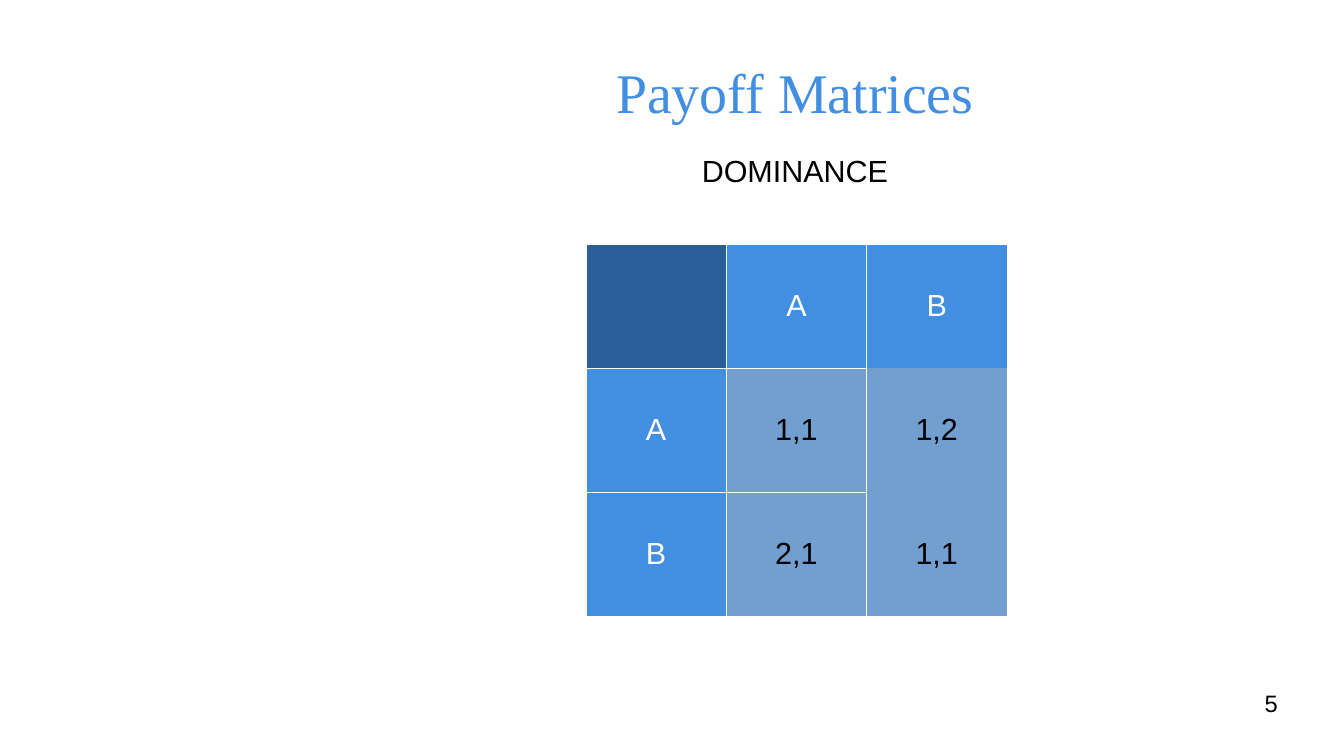
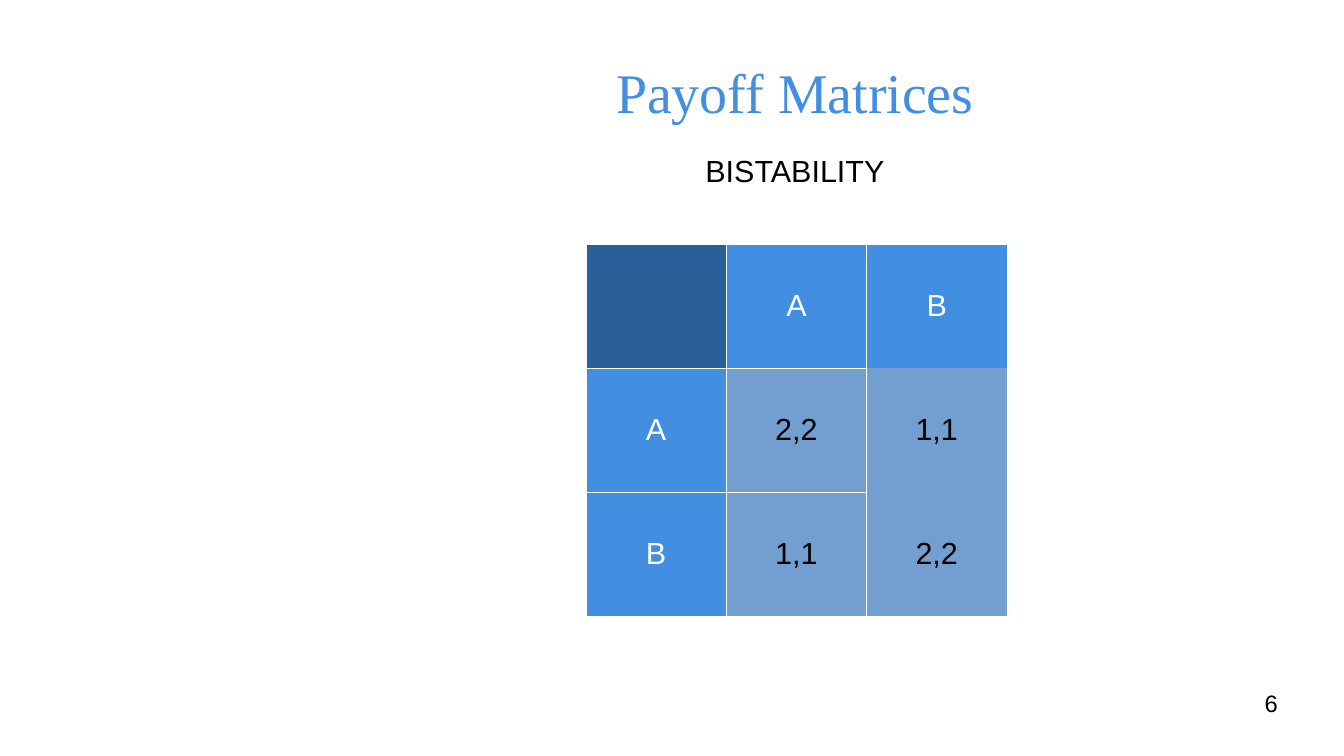
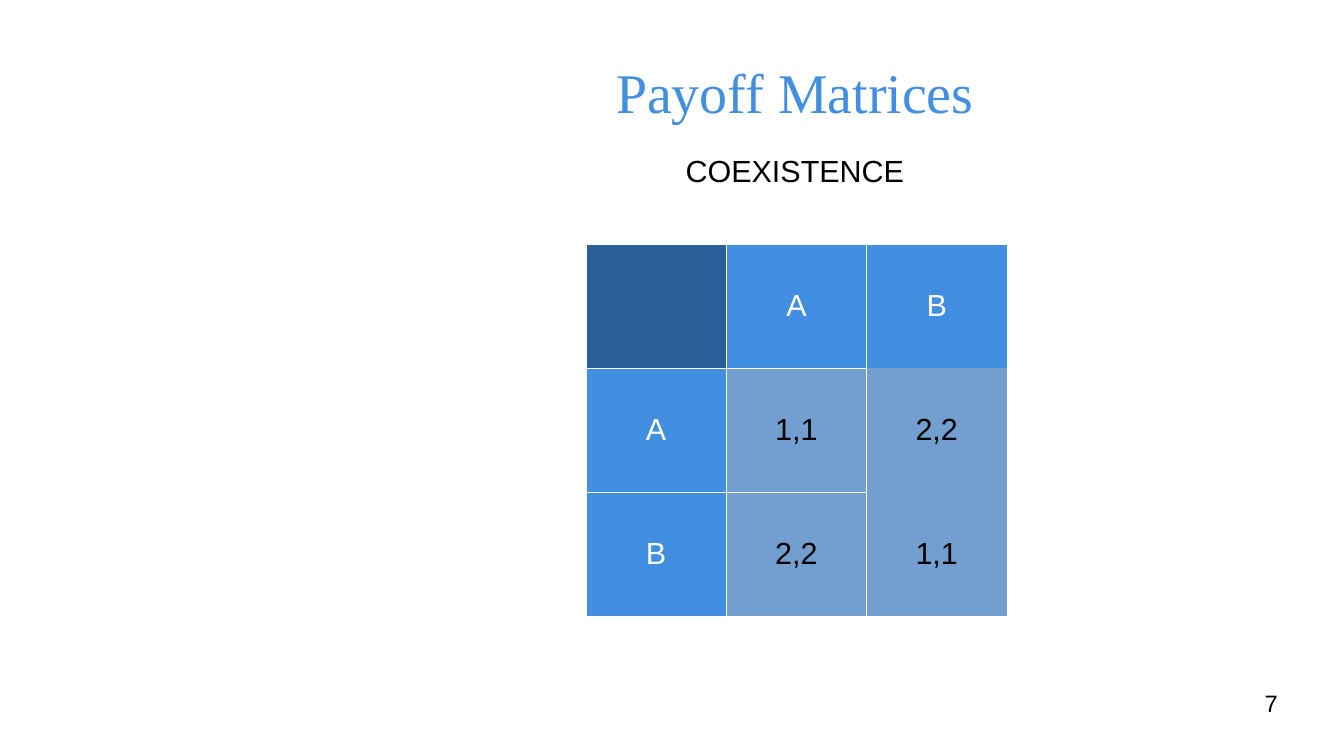
"""Build three slides of payoff matrices."""
from dataclasses import dataclass
from typing import Any, NamedTuple

from lxml import etree
from pptx import Presentation
from pptx.dml.color import RGBColor
from pptx.enum.text import MSO_ANCHOR, MSO_AUTO_SIZE, PP_ALIGN
from pptx.oxml.ns import qn
from pptx.util import Emu, Pt

CENTER, RIGHT = PP_ALIGN.CENTER, PP_ALIGN.RIGHT
TOP, MIDDLE = MSO_ANCHOR.TOP, MSO_ANCHOR.MIDDLE
FIXED, GROW = MSO_AUTO_SIZE.NONE, MSO_AUTO_SIZE.SHAPE_TO_FIT_TEXT
SCALE = 914400 / 122
PLAIN = "{2D5ABB26-0587-4C30-8999-92F81FD0307C}"
SIDES = ("L", "R", "T", "B")


class Box(NamedTuple):
    """A frame in px."""

    left: int
    top: int
    width: int
    height: int


class Style(NamedTuple):
    """A text style."""

    face: str
    size: int
    color: str
    align: PP_ALIGN


@dataclass(frozen=True)
class Theme:
    """Colours and type styles of all slides."""

    white: str = "FFFFFF"
    corner: str = "2A6099"
    header: str = "428FE1"
    field: str = "729FCF"
    rule: float = 0.06
    title: Style = Style("Times New Roman", 33, "428FE1", CENTER)
    case: Style = Style("Arial", 18, "000000", CENTER)
    head: Style = Style("Arial", 18, "FFFFFF", CENTER)
    number: Style = Style("Arial", 14, "000000", RIGHT)


@dataclass(frozen=True)
class Game:
    """A named game with its payoffs by row."""

    name: str
    payoffs: tuple[tuple[str, str], tuple[str, str]]


THEME = Theme()
PAGE = Box(0, 0, 1344, 756)
TITLE = Box(246, 29, 1098, 124)
CASE = Box(246, 146, 1098, 46)
GRID = Box(586, 244, 421, 372)
NUMBER = Box(964, 689, 314, 52)
FIRST = 5
MOVES = ("A", "B")
GAMES = (
    Game("DOMINANCE", (("1,1", "1,2"), ("2,1", "1,1"))),
    Game("BISTABILITY", (("2,2", "1,1"), ("1,1", "2,2"))),
    Game("COEXISTENCE", (("1,1", "2,2"), ("2,2", "1,1"))),
)


def px(count: int) -> Emu:
    """Turn px into EMU."""
    return Emu(round(count * SCALE))


def apply(item: Any, values: dict[str, Any]) -> None:
    """Set each named attribute of an item."""
    for name, value in values.items():
        setattr(item, name, value)


def place(box: Box) -> dict[str, Emu]:
    """Give the frame of a box in EMU."""
    return {name: px(value) for name, value in box._asdict().items()}


def write(frame: Any, text: str, style: Style) -> None:
    """Write one styled paragraph."""
    line = frame.paragraphs[0]
    line.alignment = style.align
    run = line.add_run()
    run.text = text
    apply(run.font, {"name": style.face, "size": Pt(style.size), "bold": False})
    run.font.color.rgb = RGBColor.from_string(style.color)


def inset(side: int, edge: int) -> dict[str, Emu]:
    """Give the margins of a frame or cell."""
    return {
        "margin_left": px(side),
        "margin_right": px(side),
        "margin_top": px(edge),
        "margin_bottom": px(edge),
    }


def label(shape: Any, text: str, style: Style, **values: Any) -> None:
    """Format the frame of a shape and fill in its text."""
    frame = shape.text_frame
    apply(frame, {"word_wrap": True, **values})
    write(frame, text, style)


def border(cell: Any, bare: str) -> None:
    """Draw white rules on all sides of a cell but the bare ones."""
    props = cell._tc.get_or_add_tcPr()
    for side in SIDES:
        line = etree.SubElement(props, qn(f"a:ln{side}"), w=str(Pt(THEME.rule)))
        if side in bare:
            etree.SubElement(line, qn("a:noFill"))
        else:
            fill = etree.SubElement(line, qn("a:solidFill"))
            etree.SubElement(fill, qn("a:srgbClr"), val=THEME.white)


def matrix(slide: Any, game: Game) -> None:
    """Draw the payoff table of a game."""
    rows = [("", *MOVES)]
    rows += [(move, *pays) for move, pays in zip(MOVES, game.payoffs)]
    count = len(rows)
    table = slide.shapes.add_table(count, count, *place(GRID).values()).table
    apply(table, {"first_row": False, "horz_banding": False})
    table._tbl.tblPr.find(qn("a:tableStyleId")).text = PLAIN
    bare = ("B", "TB", "T")
    for row, texts in enumerate(rows):
        for col, text in enumerate(texts):
            cell = table.cell(row, col)
            border(cell, bare[row] if col == count - 1 else "")
            inner = row > 0 and col > 0
            fill = THEME.field if inner else THEME.header if text else THEME.corner
            cell.fill.solid()
            cell.fill.fore_color.rgb = RGBColor.from_string(fill)
            apply(cell, {"vertical_anchor": MIDDLE, **inset(12, 6)})
            if text:
                write(cell.text_frame, text, THEME.case if inner else THEME.head)


def note(slide: Any, box: Box, text: str, style: Style, **values: Any) -> None:
    """Add a text box."""
    shape = slide.shapes.add_textbox(*place(box).values())
    label(shape, text, style, vertical_anchor=TOP, **values)


def draw(deck: Any, game: Game, number: int) -> None:
    """Add the slide of a game."""
    slide = deck.slides.add_slide(deck.slide_layouts[5])
    title = slide.shapes.title
    apply(title, place(TITLE))
    label(title, "Payoff Matrices", THEME.title, vertical_anchor=MIDDLE,
          auto_size=FIXED, **inset(0, 0))
    matrix(slide, game)
    note(slide, CASE, game.name, THEME.case, auto_size=GROW, **inset(12, 6))
    note(slide, NUMBER, str(number), THEME.number, auto_size=FIXED, **inset(0, 0))


def main() -> None:
    """Build and save the deck."""
    deck = Presentation()
    apply(deck, {"slide_width": px(PAGE.width), "slide_height": px(PAGE.height)})
    for number, game in enumerate(GAMES, FIRST):
        draw(deck, game, number)
    deck.save("out.pptx")


if __name__ == "__main__":
    main()
